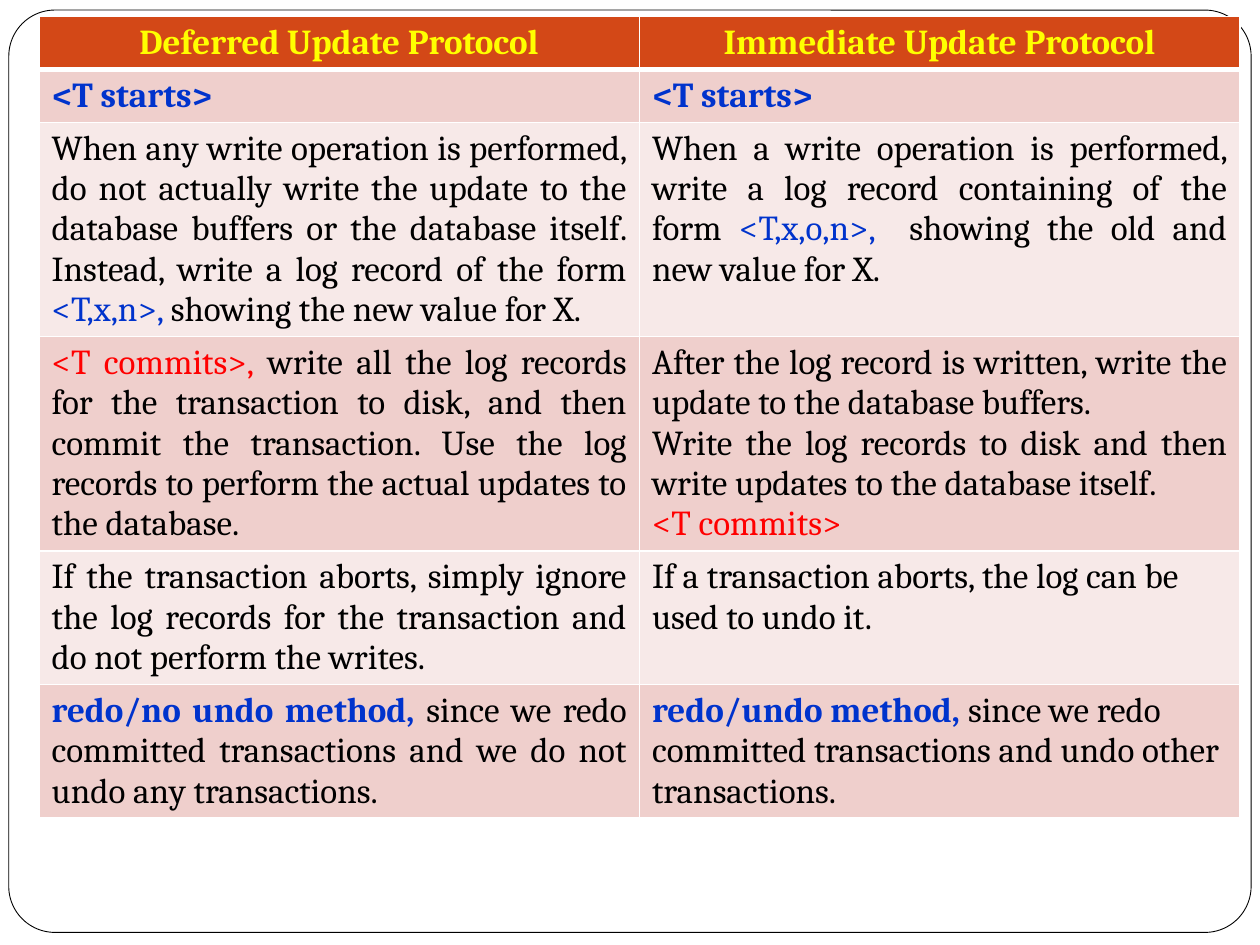
import dataclasses

import lxml.etree
import pptx
import pptx.dml.color
import pptx.enum.shapes
import pptx.enum.text
import pptx.oxml.ns
import pptx.util

ALIGN = pptx.enum.text.PP_ALIGN


@dataclasses.dataclass(frozen=True)
class Theme:
    font: str = "Cambria"
    size: int = 20
    text: str = "000000"
    paper: str = "FFFFFF"
    heading: str = "FFFF00"
    header: str = "D34817"
    bands: tuple = ("EFCFCC", "F7E9E8")
    log: str = "0033CC"
    commit: str = "FF0000"
    rule: float = 1
    header_rule: float = 3


THEME = Theme()


def rgb(value):
    return pptx.dml.color.RGBColor.from_string(value)


def add_text(p, text, color=THEME.text, bold=False, size=THEME.size, font=THEME.font):
    r = p.add_run()
    r.text = text
    r.font.name, r.font.size, r.font.bold = font, pptx.util.Pt(size), bold
    r.font.color.rgb = rgb(color)


def add_border(cell, side, color, width):
    qn = pptx.oxml.ns.qn
    ln = lxml.etree.SubElement(cell._tc.get_or_add_tcPr(), qn(f"a:ln{side}"),
                               w=str(pptx.util.Pt(width)))
    fill = lxml.etree.SubElement(ln, qn("a:solidFill"))
    lxml.etree.SubElement(fill, qn("a:srgbClr"), val=color)


class Deck:
    def __init__(self, theme, width=10, height=7.5):
        self.theme = theme
        self.prs = pptx.Presentation()
        self.prs.slide_width = pptx.util.Inches(width)
        self.prs.slide_height = pptx.util.Inches(height)
        self.s = None

    def add_slide(self):
        self.s = self.prs.slides.add_slide(self.prs.slide_layouts[6])

    def box(self, x, y, w, h):
        """Turn shares of the slide's size into lengths."""
        across, down = self.prs.slide_width, self.prs.slide_height
        return [int(v) for v in (x * across, y * down, w * across, h * down)]

    def frame(self, x, y, w, h, radius):
        sp = self.s.shapes.add_shape(
            pptx.enum.shapes.MSO_SHAPE.ROUNDED_RECTANGLE, *self.box(x, y, w, h))
        sp.adjustments[0] = radius
        sp.shadow.inherit = False
        sp.fill.solid()
        sp.fill.fore_color.rgb = rgb(self.theme.paper)
        sp.line.color.rgb = rgb(self.theme.text)
        sp.line.width = pptx.util.Pt(0.5)

    def table(self, rows, x, y, w, row_height):
        """Draw rows of cells; a cell is (alignment, paragraphs of runs)."""
        box = self.box(x, y, w, row_height * len(rows))
        table = self.s.shapes.add_table(len(rows), len(rows[0]), *box).table
        for i, row in enumerate(rows):
            for j, (align, paragraphs) in enumerate(row):
                self.fill_cell(table.cell(i, j), i, align, paragraphs)

    def fill_cell(self, cell, row, align, paragraphs):
        t = self.theme
        for side in "LRTB":
            under_header = (row, side) in ((0, "B"), (1, "T"))
            add_border(cell, side, t.paper, t.header_rule if under_header else t.rule)
        cell.fill.solid()
        cell.fill.fore_color.rgb = rgb(t.bands[(row - 1) % 2] if row else t.header)
        tf = cell.text_frame
        for k, runs in enumerate(paragraphs):
            p = tf.add_paragraph() if k else tf.paragraphs[0]
            p.alignment = align
            for text, style in runs:
                add_text(p, text, **style)


PLAIN = {}
HEADING = {"color": THEME.heading, "bold": True}
LOG = {"color": THEME.log}
METHOD = {"color": THEME.log, "bold": True}
COMMIT = {"color": THEME.commit}


def cell(*paragraphs, align=ALIGN.JUSTIFY):
    return align, paragraphs


def heading(text):
    return cell([(text, HEADING)], align=ALIGN.CENTER)


START = cell([("<T starts>", METHOD)])

ROWS = [
    (heading("Deferred Update Protocol"), heading("Immediate Update Protocol")),
    (START, START),
    (cell([("When any write operation is performed, do not actually write the update to "
            "the database buffers or the database itself. Instead, write a log record of "
            "the form ", PLAIN),
           ("<T,x,n>, ", LOG),
           ("showing the new value for X.", PLAIN)]),
     cell([("When a write operation is performed, write a log record containing of the "
            "form ", PLAIN),
           ("<T,x,o,n>, ", LOG),
           (" showing the old and new value for X.", PLAIN)])),
    (cell([("<T commits>,", COMMIT),
           (" write all the log records for the transaction to disk, and then commit the "
            "transaction. Use the log records to perform the actual updates to the "
            "database.", PLAIN)]),
     cell([("After the log record is written, write the update to the database buffers.",
            PLAIN)],
          [("Write the log records to disk and then write updates to the database itself.",
            PLAIN)],
          [("<T commits>", COMMIT)])),
    (cell([("If the transaction aborts, simply ignore the log records for the transaction "
            "and do not perform the writes.", PLAIN)]),
     cell([("If a transaction aborts, the log can be used to undo it.", PLAIN)],
          align=ALIGN.LEFT)),
    (cell([("redo/no undo method,", METHOD),
           (" since we redo committed transactions and we do not undo any transactions.",
            PLAIN)]),
     cell([("redo/undo method,", METHOD),
           (" since we redo committed transactions and undo other transactions.", PLAIN)],
          align=ALIGN.LEFT)),
]


def main():
    deck = Deck(THEME)
    deck.add_slide()
    deck.frame(0.007, 0.08 / 7.5, 0.986, 7.32 / 7.5, radius=0.05)
    deck.table(ROWS, 0.031, 0.13 / 7.5, 0.953, row_height=0.41 / 7.5)
    deck.prs.save("out.pptx")


if __name__ == "__main__":
    main()
